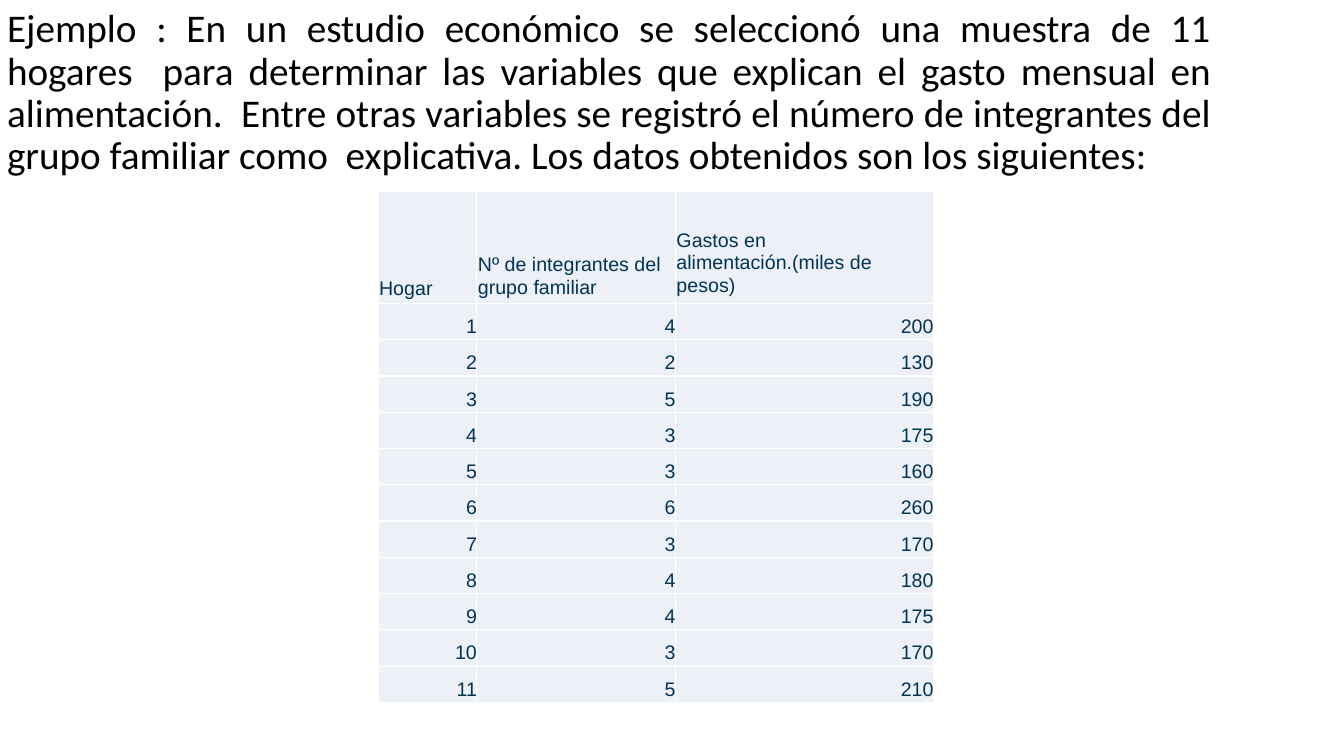
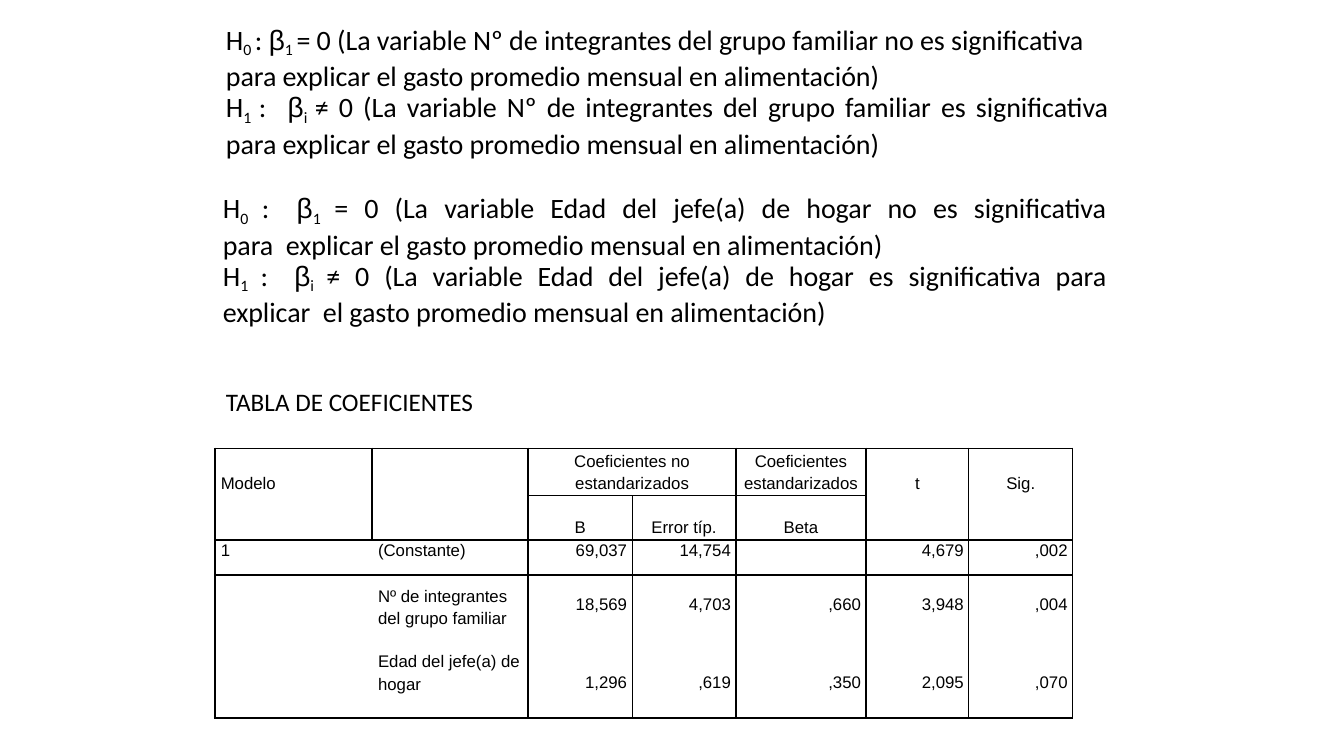
from lxml import etree
from pptx import Presentation
from pptx.dml.color import RGBColor
from pptx.enum.text import MSO_ANCHOR, PP_ALIGN
from pptx.oxml.ns import qn
from pptx.util import Inches, Pt

LEFT, CENTER, RIGHT, JUSTIFY = PP_ALIGN.LEFT, PP_ALIGN.CENTER, PP_ALIGN.RIGHT, PP_ALIGN.JUSTIFY
TOP, MIDDLE, BOTTOM = MSO_ANCHOR.TOP, MSO_ANCHOR.MIDDLE, MSO_ANCHOR.BOTTOM
TITLE_ONLY = 5
BLACK, WHITE, NAVY, PALE = "000000", "FFFFFF", "003456", "EDF0F6"

HEADING = {"size": Pt(28), "name": "Calibri", "color": BLACK}
HYPOTHESIS = {**HEADING, "size": Pt(20)}
STATEMENT = {**HYPOTHESIS, "spc": "-5"}
WIDE_COLON = {**HYPOTHESIS, "spc": "400"}
GREEK = {**HYPOTHESIS, "name": "Arial"}
SUBSCRIPT = {**HYPOTHESIS, "size": Pt(19.5), "baseline": "-21000"}
CAPTION = {**HEADING, "size": Pt(18)}
HOUSEHOLD = {"size": Pt(14), "name": "Arial", "color": NAVY}
COEFFICIENT = {"size": Pt(12), "name": "Arial", "color": BLACK}


def write(para, spans, indent=0, **layout):
    """Fill a paragraph with (text, font format) spans; a newline breaks the line."""
    for name, value in layout.items():
        setattr(para, name, value)
    properties = para._p.get_or_add_pPr()
    properties.set("marL", str(int(Inches(indent))))
    properties.set("indent", "0")
    for text, font in spans:
        for number, line in enumerate(text.split("\n")):
            if number:
                para.add_line_break()
            span = para.add_run()
            span.text = line
            for name, value in font.items():
                if name == "color":
                    span.font.color.rgb = RGBColor.from_string(value)
                elif name in ("baseline", "spc"):
                    span._r.get_or_add_rPr().set(name, value)
                else:
                    setattr(span.font, name, value)


def format_cell(cell, fill, line, edges, margins, anchor=TOP):
    """Set edges (widths in points, 0 for none) and margins (inches) as left, right, top, bottom."""
    properties = cell._tc.get_or_add_tcPr()
    for side, width in zip("LRTB", edges):
        edge = etree.SubElement(properties, qn(f"a:ln{side}"), w=str(int(Pt(width))))
        if width:
            paint = etree.SubElement(edge, qn("a:solidFill"))
            etree.SubElement(paint, qn("a:srgbClr"), val=line)
        else:
            etree.SubElement(edge, qn("a:noFill"))
    cell.fill.solid()
    cell.fill.fore_color.rgb = RGBColor.from_string(fill)
    for side, margin in zip(("left", "right", "top", "bottom"), margins):
        setattr(cell, f"margin_{side}", Inches(margin))
    cell.vertical_anchor = anchor


deck = Presentation()
deck.slide_width, deck.slide_height = Inches(13.33), Inches(7.5)
layout = deck.slide_layouts[TITLE_ONLY]

# Each slide: title place, title insets, table place, column widths, row heights
plans = [
    ((0.07, 0.07, 11.94, 1.71), (0, 0, 0.01, 0), (3.75, 1.9),
     [0.98, 1.97, 2.56], [1.11] + [0.36] * 11),
    ((2.2, 0.22, 8.86, 1.37), (0, 0.07, 0.03, 0), (2.13, 4.45),
     [1.56, 1.55, 1.03, 1.03, 1.29, 1.02, 1.03], [0.47, 0.43, 0.35, 0.67, 0.75]),
]
pages, titles, tables = [], [], []
for title_place, insets, (left, top), widths, heights in plans:
    page = deck.slides.add_slide(layout)
    title = page.shapes.title
    title.left, title.top, title.width, title.height = map(Inches, title_place)
    frame = title.text_frame
    frame.word_wrap = True
    frame.vertical_anchor = MIDDLE
    for side, inset in zip(("left", "right", "top", "bottom"), insets):
        setattr(frame, f"margin_{side}", Inches(inset))
    table = page.shapes.add_table(len(heights), len(widths), Inches(left), Inches(top),
                                  Inches(sum(widths)), Inches(sum(heights))).table
    for column, width in zip(table.columns, widths):
        column.width = Inches(width)
    for row, height in zip(table.rows, heights):
        row.height = Inches(height)
    pages.append(page)
    titles.append(frame)
    tables.append(table)

# Slide 1: the sample of households
write(titles[0].paragraphs[0], [(
    "Ejemplo : En un estudio económico se seleccionó una muestra de 11 hogares  para determinar "
    "las variables que explican el gasto mensual en alimentación.  Entre otras variables se "
    "registró el número de integrantes del grupo familiar como  explicativa. Los datos obtenidos "
    "son los siguientes:", HEADING)],
    alignment=JUSTIFY, line_spacing=0.9, space_before=Pt(10))

headers = ["Hogar", "Nº de integrantes del grupo familiar",
           "Gastos en\nalimentación.(miles de\npesos)"]
header_bottoms = [0.04, 0.05, 0.07]
members = [4, 2, 5, 3, 3, 6, 3, 4, 4, 3, 5]
expenses = [200, 130, 190, 175, 160, 260, 170, 180, 175, 170, 210]
households = [headers, *zip(range(1, 12), members, expenses)]
for r, values in enumerate(households):
    for c, value in enumerate(values):
        cell = tables[0].cell(r, c)
        if r == 0:
            margins, anchor, alignment = (0.01, 0, 0, header_bottoms[c]), BOTTOM, LEFT
        else:
            margins, anchor, alignment = (0, 0, 0.12, 0), TOP, RIGHT
        format_cell(cell, PALE, WHITE, (1, 1, 1, 1), margins, anchor)
        write(cell.text_frame.paragraphs[0], [(str(value), HOUSEHOLD)],
              alignment=alignment, line_spacing=Pt(15.9))

# Slide 2: hypotheses and coefficients
box = pages[1].shapes.add_textbox(Inches(2.15), Inches(1.9), Inches(8.89), Inches(2.25))
body = box.text_frame
body.word_wrap = True
for side, inset in {"left": 0, "right": 0.07, "top": 0.03, "bottom": 0}.items():
    setattr(body, f"margin_{side}", Inches(inset))

ENDING = "el gasto promedio mensual en alimentación)"
MEMBERS = "(La variable Nº de integrantes del grupo familiar"
AGE = "(La variable Edad del jefe(a) de hogar"
hypotheses = [
    (titles[1], "0 ", HYPOTHESIS, "1 ",
     f"= 0 {MEMBERS} no es significativa para explicar {ENDING}", LEFT, 0.04),
    (titles[1], "1 ", WIDE_COLON, "i ",
     f"≠ 0 {MEMBERS} es significativa para explicar {ENDING}", JUSTIFY, 0.04),
    (body, "0 ", WIDE_COLON, "1 ",
     f"= 0 {AGE} no es significativa\npara  explicar {ENDING}", JUSTIFY, 0.06),
    (body, "1 ", WIDE_COLON, "i ",
     f"≠ 0 {AGE} es significativa para\nexplicar  {ENDING}", JUSTIFY, 0.06),
]
for frame, number, colon_font, index, statement, alignment, indent in hypotheses:
    para = frame.paragraphs[0] if not frame.text else frame.add_paragraph()
    spans = [("H", HYPOTHESIS), (number, SUBSCRIPT), (": ", colon_font),
             ("β", GREEK), (index, SUBSCRIPT), (statement, STATEMENT)]
    write(para, spans, indent, alignment=alignment,
          line_spacing=Pt(23.8), space_before=Pt(0.4))
write(body.add_paragraph(), [("TABLA DE COEFICIENTES", CAPTION)], 0.09,
      alignment=JUSTIFY, space_before=Pt(41))

coefficients = [
    ["Modelo", "", "Coeficientes no estandarizados", "", "Coeficientes estandarizados", "t", "Sig."],
    ["", "", "B", "Error típ.", "Beta", "", ""],
    ["1", "(Constante)", "69,037", "14,754", "", "4,679", ",002"],
    ["", "Nº de integrantes del grupo familiar", "18,569", "4,703", ",660", "3,948", ",004"],
    ["", "Edad del jefe(a) de hogar", "1,296", ",619", ",350", "2,095", ",070"],
]
TALL_HEADERS = (0, 1, 5, 6)
rules = [1.5, 1, 1.5, 1.5, 0, 1.5]
text_tops = [0, 0.22, 0.01, 0.2, 0.3]
label_tops = [0.25, 0, 0.01, 0.08, 0.06]
table = tables[1]
for c in TALL_HEADERS:
    table.cell(0, c).merge(table.cell(1, c))
table.cell(0, 2).merge(table.cell(0, 3))

for r, values in enumerate(coefficients):
    for c, value in enumerate(values):
        cell = table.cell(r, c)
        above, below = rules[r], rules[r + 1]
        if c in TALL_HEADERS and r < 2:
            above, below = (above, rules[2]) if r == 0 else (0, below)
        verticals = [1.5, 1.5 if r < 2 else 0, 1.5, 1, 1, 1, 1, 1]
        is_label = c < 2
        is_tall = r == 0 and c in TALL_HEADERS
        text_top = label_tops[r] if is_label or is_tall else text_tops[r]
        margins = (0.06 if is_label else 0, 0.05 if r > 1 and not is_label else 0,
                   text_top if value else 0, 0)
        format_cell(cell, WHITE, BLACK, (verticals[c], verticals[c + 1], above, below), margins)
        if value:
            wraps = len(value) > 20
            write(cell.text_frame.paragraphs[0], [(value, COEFFICIENT)],
                  alignment=LEFT if is_label else CENTER if r < 2 else RIGHT,
                  line_spacing=Pt(16) if wraps else 1.0)

deck.save("out.pptx")
